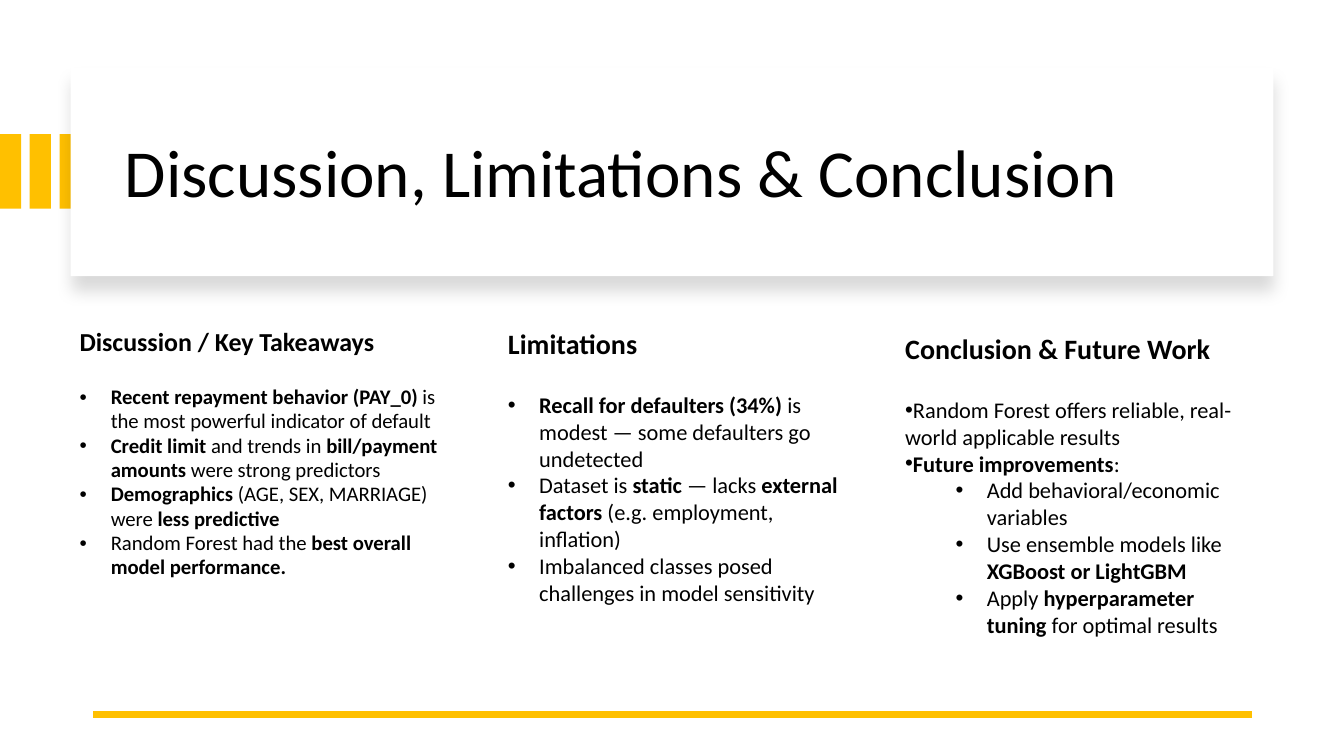
from lxml.etree import SubElement
from pptx import Presentation
from pptx.dml.color import RGBColor
from pptx.enum.shapes import MSO_CONNECTOR as CONNECTOR, MSO_SHAPE as SHAPE
from pptx.enum.text import MSO_ANCHOR as ANCHOR
from pptx.oxml.ns import qn
from pptx.util import Inches, Pt

BLACK = RGBColor(0x00, 0x00, 0x00)
WHITE = RGBColor(0xFF, 0xFF, 0xFF)
GOLD = RGBColor(0xFF, 0xC0, 0x00)
FONT = "Calibri"

DISCUSSION = [
    (0, "**Recent repayment behavior (PAY_0)** is the most powerful indicator of default"),
    (0, "**Credit limit** and trends in **bill/payment amounts** were strong predictors"),
    (0, "**Demographics** (AGE, SEX, MARRIAGE) were **less predictive**"),
    (0, "Random Forest had the **best overall model performance.**"),
]
LIMITATIONS = [
    (0, "**Recall for defaulters (34%)** is modest — some defaulters go undetected"),
    (0, "Dataset is **static** — lacks **external factors** (e.g. employment, inflation)"),
    (0, "Imbalanced classes posed challenges in model sensitivity"),
]
CONCLUSION = [
    (0, "Random Forest offers reliable, real-world applicable results"),
    (0, "**Future improvements**:"),
    (1, "Add behavioral/economic variables"),
    (1, "Use ensemble models like **XGBoost or LightGBM**"),
    (1, "Apply **hyperparameter tuning** for optimal results"),
]


def add_rect(slide, left, top, width, height, color):
    rect = slide.shapes.add_shape(
        SHAPE.RECTANGLE, Inches(left), Inches(top), Inches(width), Inches(height))
    rect.shadow.inherit = False
    rect.fill.solid()
    rect.fill.fore_color.rgb = color
    rect.line.fill.background()
    return rect


def add_soft_shadow(card):
    effects = card._element.spPr.find(qn("a:effectLst"))
    shadow = SubElement(effects, qn("a:outerShdw"), blurRad=str(Pt(11)), dist=str(Pt(10)),
                        dir="5400000", algn="t", rotWithShape="0")
    color = SubElement(shadow, qn("a:srgbClr"), val="000000")
    SubElement(color, qn("a:alpha"), val="15000")


def add_frame(slide, left, top, width, height, anchor=ANCHOR.TOP):
    frame = slide.shapes.add_textbox(
        Inches(left), Inches(top), Inches(width), Inches(height)).text_frame
    frame.word_wrap = True
    frame.vertical_anchor = anchor
    return frame


def write(paragraph, text, size, spacing=1.0, after=0):
    paragraph.line_spacing = spacing
    paragraph.space_after = Pt(after)
    for index, part in enumerate(text.split("**")):
        if part:
            run = paragraph.add_run()
            run.text = part
            run.font.name = FONT
            run.font.size = Pt(size)
            run.font.bold = index % 2 == 1
            run.font.color.rgb = BLACK


def set_bullet(paragraph, margin, hanging):
    props = paragraph._p.get_or_add_pPr()
    props.set("marL", str(Inches(margin)))
    props.set("indent", str(-Inches(hanging)))
    SubElement(props, qn("a:buFont"), typeface="Arial")
    SubElement(props, qn("a:buChar"), char="•")


def add_column(slide, box, heading, points, heading_size=20, size=16, gap=22,
               spacing=1.0, top_inset=0.05, hanging=0.31):
    frame = add_frame(slide, *box)
    frame.margin_top = Inches(top_inset)
    write(frame.paragraphs[0], f"**{heading}**", heading_size, spacing, gap)
    for level, text in points:
        paragraph = frame.add_paragraph()
        paragraph.level = level
        write(paragraph, text, size, spacing)
        if level:
            set_bullet(paragraph, 0.81, 0.31)
        else:
            set_bullet(paragraph, hanging, hanging)


def add_footer_rule(slide):
    rule = slide.shapes.add_connector(
        CONNECTOR.STRAIGHT, Inches(12.42), Inches(7.09), Inches(0.92), Inches(7.09))
    rule.line.color.rgb = GOLD
    rule.line.width = Pt(4.5)
    SubElement(rule._element.spPr, qn("a:effectLst"))


def main():
    deck = Presentation()
    deck.slide_width = Inches(13.33)
    deck.slide_height = Inches(7.5)
    slide = deck.slides.add_slide(deck.slide_layouts[6])

    for index in range(3):
        add_rect(slide, index * 0.295, 1.33, 0.21, 0.74, GOLD)
    add_soft_shadow(add_rect(slide, 0.7, 0.67, 11.93, 2.07, WHITE))

    title = add_frame(slide, 1.14, 0.89, 10.87, 1.7, ANCHOR.MIDDLE)
    write(title.paragraphs[0], "Discussion, Limitations & Conclusion", 48, spacing=0.9)

    add_column(slide, (0.69, 3.24, 3.88, 2.81), "Discussion / Key Takeaways", DISCUSSION,
               heading_size=18.5, size=14.8, gap=20, spacing=0.98, top_inset=0)
    add_footer_rule(slide)
    add_column(slide, (4.94, 3.19, 3.57, 2.89), "Limitations", LIMITATIONS)
    add_column(slide, (8.88, 3.24, 3.57, 3.16), "Conclusion & Future Work", CONCLUSION,
               hanging=0)

    deck.save("out.pptx")


if __name__ == "__main__":
    main()
